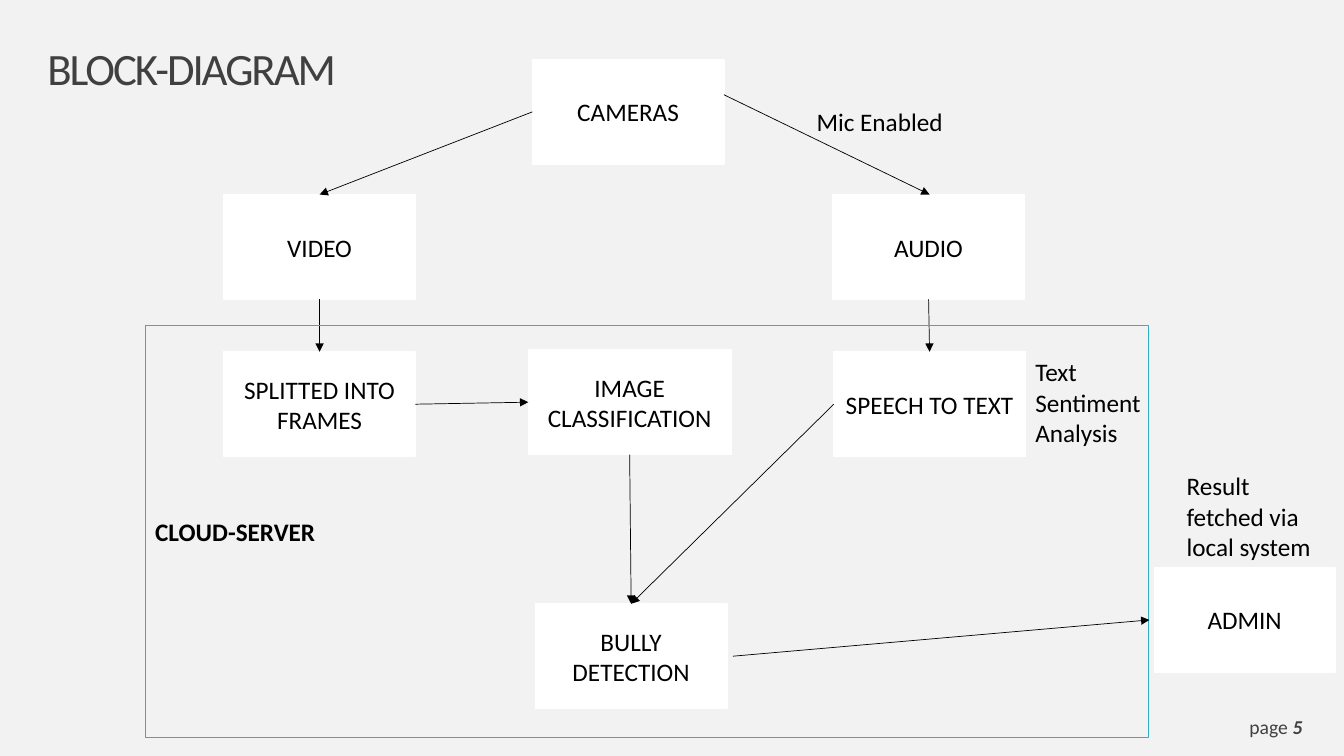
from lxml.etree import SubElement
from pptx import Presentation
from pptx.dml.color import RGBColor as RGB
from pptx.enum.shapes import MSO_CONNECTOR as CONN, MSO_SHAPE as SHAPE
from pptx.enum.text import MSO_ANCHOR as ANCHOR, MSO_AUTO_SIZE as AUTO, PP_ALIGN as ALIGN
from pptx.oxml.ns import qn
from pptx.util import Inches, Pt

COLORS = {
    "background": "F2F2F2",
    "box": "FFFFFF",
    "text": "000000",
    "heading": "404040",
    "arrow": "000000",
    "cloud": "31B0C1",
}
BODY = {"name": "Calibri", "size": Pt(18)}
TITLE = {"name": "Calibri", "size": Pt(32)}
PAGE = {"name": "Calibri", "size": Pt(14)}
BOLD = {"bold": True}
BOLD_ITALIC = {"bold": True, "italic": True}
NO_INSETS = dict.fromkeys(("margin_left", "margin_top", "margin_right", "margin_bottom"), 0)
MIDDLE = {"word_wrap": True, "vertical_anchor": ANCHOR.MIDDLE}
GROW = {"word_wrap": True, "auto_size": AUTO.SHAPE_TO_FIT_TEXT}
TOP, LEFT, BOTTOM, RIGHT = range(4)
BOX_W, BOX_H = 1.9, 1.04

BOXES = {
    "CAMERAS": (5.28, 0.59, BOX_W),
    "AUDIO": (8.26, 1.93, BOX_W),
    "VIDEO": (2.22, 1.93, BOX_W),
    "SPLITTED INTO FRAMES": (2.22, 3.49, BOX_W),
    "SPEECH TO TEXT": (8.27, 3.49, BOX_W),
    "IMAGE CLASSIFICATION": (5.24, 3.47, 2.01),
    "BULLY DETECTION": (5.31, 5.99, BOX_W),
    "ADMIN": (11.45, 5.63, 1.79),
}
LINKS = [
    ("CAMERAS", LEFT, "VIDEO", TOP),
    ("VIDEO", BOTTOM, "SPLITTED INTO FRAMES", TOP),
    ("AUDIO", BOTTOM, "SPEECH TO TEXT", TOP),
    ("SPLITTED INTO FRAMES", RIGHT, "IMAGE CLASSIFICATION", LEFT),
    ("IMAGE CLASSIFICATION", BOTTOM, "BULLY DETECTION", TOP),
    ("SPEECH TO TEXT", LEFT, "BULLY DETECTION", TOP),
]
FREE_ARROWS = [(7.18, 0.94, 9.22, 1.93), (7.27, 6.51, 11.4, 6.15)]
LABELS = [
    ("Mic Enabled", (8, 1.01, 1.48, 0.4), False),
    ("Text Sentiment Analysis", (10.17, 3.49, 1.4, 1.04), True),
    ("Result fetched via local system", (11.67, 4.62, 1.62, 1.01), True),
]


def apply(target, values):
    for name, value in values.items():
        setattr(target, name, value)


def add_run(p, text, font, color="text"):
    r = p.add_run()
    r.text = text
    apply(r.font, font)
    r.font.color.rgb = RGB.from_string(COLORS[color])
    return r


def add_rect(s, at, line, width, fill=None, align=ALIGN.CENTER):
    sp = s.shapes.add_shape(SHAPE.RECTANGLE, *map(Inches, at))
    sp.shadow.inherit = False
    if fill:
        sp.fill.solid()
        sp.fill.fore_color.rgb = RGB.from_string(COLORS[fill])
    else:
        sp.fill.background()
    sp.line.color.rgb = RGB.from_string(COLORS[line])
    sp.line.width = Pt(width)
    apply(sp.text_frame, MIDDLE)
    sp.text_frame.paragraphs[0].alignment = align
    return sp


def add_box(s, text, x, y, w):
    sp = add_rect(s, (x, y, w, BOX_H), "box", 1, "box")
    add_run(sp.text_frame.paragraphs[0], text, BODY)
    return sp


def add_text(s, text, at, frame, font, color="text"):
    tf = s.shapes.add_textbox(*map(Inches, at)).text_frame
    apply(tf, frame)
    return add_run(tf.paragraphs[0], text, font, color)


def add_arrow(s, x1=0, y1=0, x2=0, y2=0):
    c = s.shapes.add_connector(CONN.STRAIGHT, *map(Inches, (x1, y1, x2, y2)))
    c.line.color.rgb = RGB.from_string(COLORS["arrow"])
    c.line.width = Pt(0.5)
    SubElement(c.line._get_or_add_ln(), qn("a:tailEnd"), type="triangle")
    SubElement(c._element.spPr, qn("a:effectLst"))
    return c


def link(s, boxes, start, start_side, end, end_side):
    c = add_arrow(s)
    c.begin_connect(boxes[start], start_side)
    c.end_connect(boxes[end], end_side)


def add_title(s):
    r = add_text(s, "BLOCK-DIAGRAM", (0.47, 0.47, 11.09, 0.47), {**MIDDLE, **NO_INSETS}, TITLE, "heading")
    r.font._element.set("spc", "-150")
    s.shapes[-1].text_frame.paragraphs[0].line_spacing = 0.9


def add_page_number(s):
    sp = add_rect(s, (12.13, 7.06, 1.05, 0.29), "background", 0.25)
    apply(sp.text_frame, NO_INSETS)
    p = sp.text_frame.paragraphs[0]
    add_run(p, "page ", PAGE, "heading")
    add_run(p, "5", {**PAGE, **BOLD_ITALIC}, "heading")


def add_cloud(s):
    sp = add_rect(s, (1.44, 3.23, 9.95, 4.09), "cloud", 0.75, align=ALIGN.LEFT)
    add_run(sp.text_frame.paragraphs[0], "CLOUD-SERVER", {**BODY, **BOLD})


def main():
    prs = Presentation()
    prs.slide_width, prs.slide_height = Inches(13.33), Inches(7.5)
    s = prs.slides.add_slide(prs.slide_layouts[6])
    s.background.fill.solid()
    s.background.fill.fore_color.rgb = RGB.from_string(COLORS["background"])

    add_title(s)
    add_page_number(s)
    boxes = {text: add_box(s, text, *at) for text, at in BOXES.items()}
    for ends in LINKS:
        link(s, boxes, *ends)
    add_cloud(s)
    for points in FREE_ARROWS:
        add_arrow(s, *points)
    for text, at, wrap in LABELS:
        add_text(s, text, at, {**GROW, "word_wrap": wrap}, BODY)
    prs.save("out.pptx")


main()
